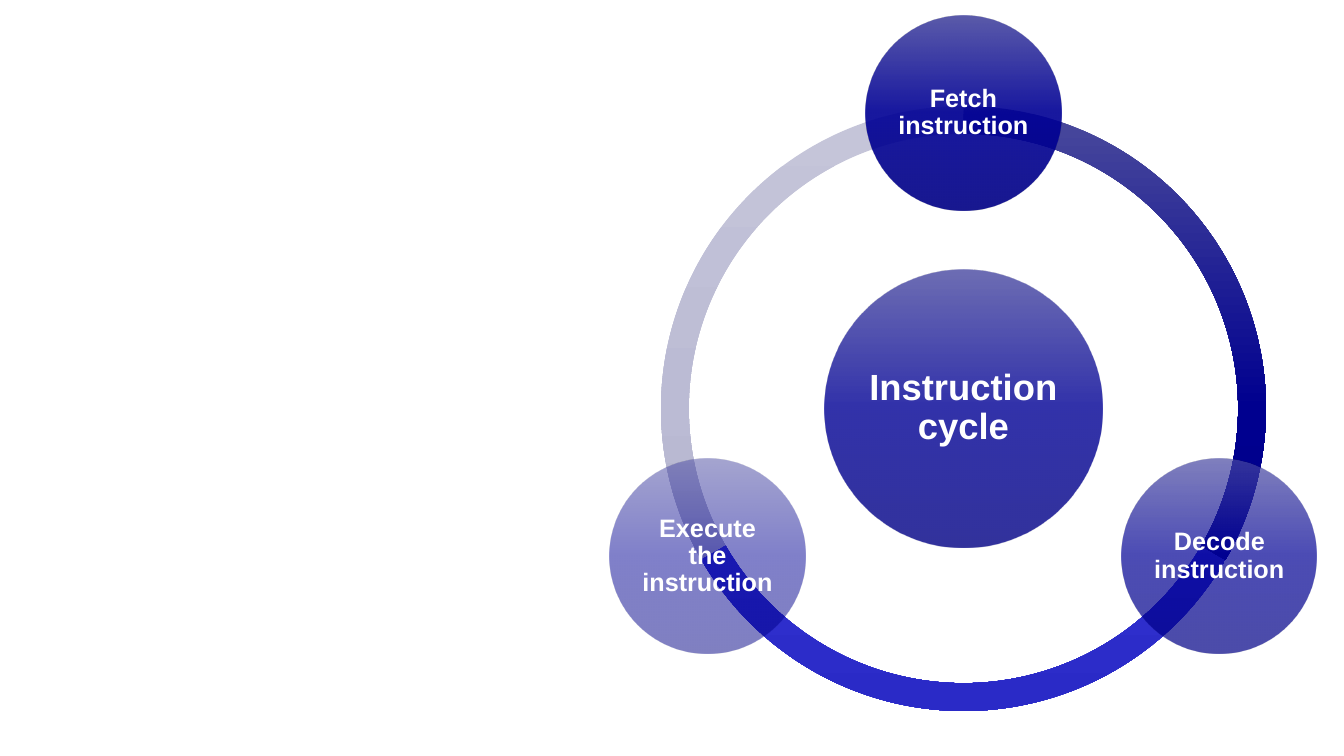
import math
from dataclasses import dataclass

import lxml.etree
import pptx
import pptx.dml.color
import pptx.enum.shapes
import pptx.enum.text
import pptx.oxml.ns
import pptx.util

PX = 914400 / 100.8
SHAPE = pptx.enum.shapes.MSO_SHAPE
qn = pptx.oxml.ns.qn


@dataclass(frozen=True)
class Theme:
    font: str = "Arial"
    text: str = "FFFFFF"
    hub_size: int = 26
    node_size: int = 18
    disc: tuple = ("4B4BA2", "000096", "000085")
    pale: tuple = ("C5C5D9", "BBBBD4", "A4A4BE")
    mid: tuple = ("5E5ED6", "3838D7", "2A2AC7")
    dark: tuple = ("4B4B9C", "00008F", "00007F")


THEME = Theme()


def px(n):
    return pptx.util.Emu(round(n * PX))


def shade(shape, tones, alpha=100):
    """Fill from top to bottom with evenly spaced tones; alpha in percent."""
    shape.fill.gradient()
    shape.fill.gradient_angle = 270
    stops = shape._element.spPr.find(".//" + qn("a:gsLst"))
    for stop in list(stops):
        stops.remove(stop)
    for i, tone in enumerate(tones):
        place = str(i * 100000 // (len(tones) - 1))
        stop = lxml.etree.SubElement(stops, qn("a:gs"), pos=place)
        color = lxml.etree.SubElement(stop, qn("a:srgbClr"), val=tone)
        if alpha < 100:
            lxml.etree.SubElement(color, qn("a:alpha"), val=str(alpha * 1000))


def add_round(slide, kind, x, y, size):
    """Add a plain shape centred on x, y."""
    shape = slide.shapes.add_shape(
        kind, px(x - size / 2), px(y - size / 2), px(size), px(size))
    shape.shadow.inherit = False
    shape.line.fill.background()
    return shape


def add_arc(slide, x, y, size, start, tones):
    """Add a third of the ring, clockwise from start degrees."""
    arc = add_round(slide, SHAPE.BLOCK_ARC, x, y, size)
    # Angles are stored in 60000ths of a degree, adjustments in 100000ths.
    arc.adjustments[0] = start * 0.6
    arc.adjustments[1] = (start + 120) % 360 * 0.6
    arc.adjustments[2] = 0.046
    shade(arc, tones)


def add_disc(slide, x, y, size, label, points, alpha, inset):
    disc = add_round(slide, SHAPE.OVAL, x, y, size)
    shade(disc, THEME.disc, alpha)
    frame = disc.text_frame
    frame.text = label
    frame.word_wrap = True
    frame.vertical_anchor = pptx.enum.text.MSO_ANCHOR.MIDDLE
    frame.margin_left = frame.margin_right = px(inset)
    frame.margin_top = frame.margin_bottom = px(inset)
    para = frame.paragraphs[0]
    para.alignment = pptx.enum.text.PP_ALIGN.CENTER
    para.line_spacing = 0.9
    font = para.runs[0].font
    font.name = THEME.font
    font.size = pptx.util.Pt(points)
    font.bold = True
    font.color.rgb = pptx.dml.color.RGBColor.from_string(THEME.text)


def add_cycle(slide, left, top, size):
    """Draw the ring, its hub and its three steps in a square box."""
    x, y = left + size / 2, top + size / 2
    for start, tones in ((150, THEME.pale), (30, THEME.mid), (270, THEME.dark)):
        add_arc(slide, x, y, size, start, tones)

    add_disc(slide, x, y, 278, "Instruction cycle", THEME.hub_size, 80, 4)

    steps = (("Fetch instruction", 90), ("Decode instruction", 70),
             ("Execute the instruction", 50))
    reach = size / 2 - 7
    for i, (label, alpha) in enumerate(steps):
        turn = math.radians(i * 120 - 90)
        add_disc(slide, x + reach * math.cos(turn), y + reach * math.sin(turn),
                 195, label, THEME.node_size, alpha, 3)


def main():
    deck = pptx.Presentation()
    deck.slide_width, deck.slide_height = px(1344), px(756)
    slide = deck.slides.add_slide(deck.slide_layouts[6])
    add_cycle(slide, 661, 106, 605)
    deck.save("out.pptx")


if __name__ == "__main__":
    main()
